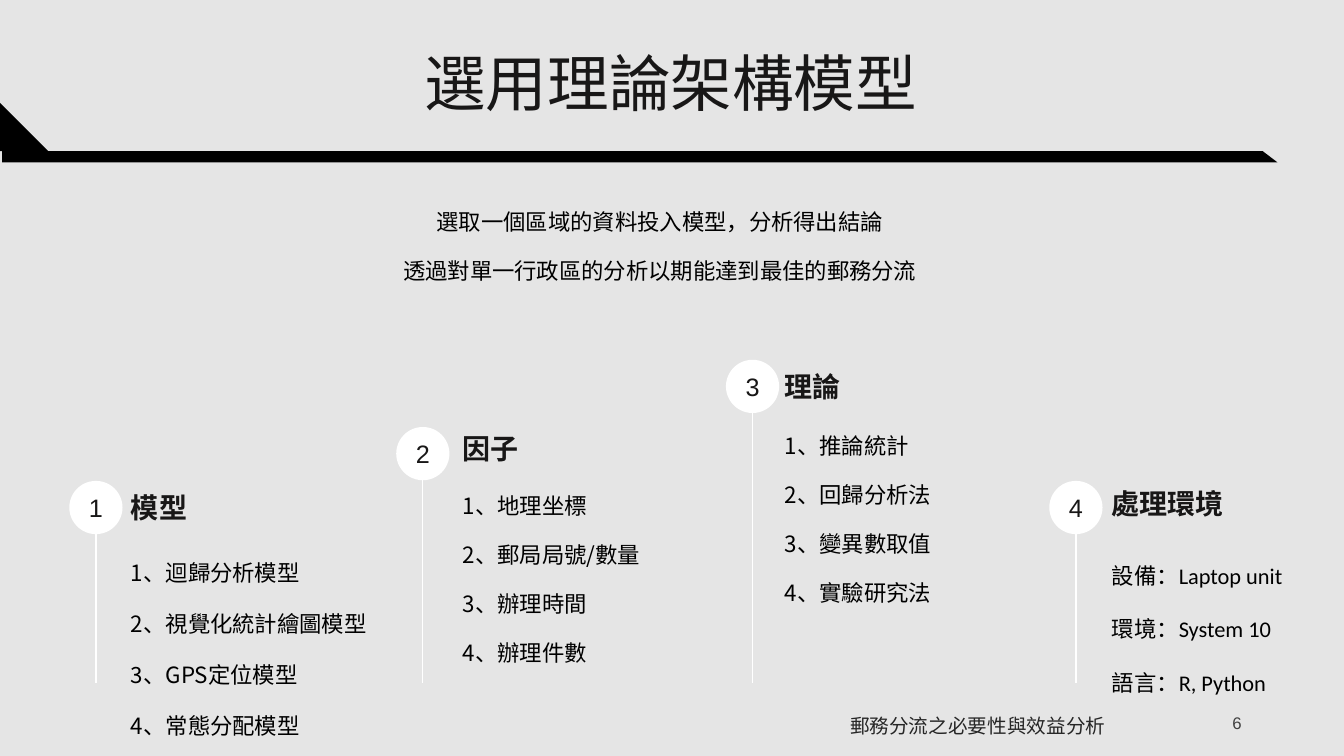
from dataclasses import dataclass
from pptx import Presentation
from pptx.dml.color import RGBColor
from pptx.enum.shapes import MSO_CONNECTOR, MSO_SHAPE
from pptx.enum.text import MSO_ANCHOR, MSO_AUTO_SIZE, PP_ALIGN
from pptx.oxml.ns import qn
from pptx.util import Pt
from lxml.etree import SubElement


# Colours, fonts and type sizes
@dataclass(frozen=True)
class Theme:
    back: str = "E5E5E5"
    bar: str = "000000"
    disc: str = "FFFFFF"
    ink: str = "181717"
    body: str = "000000"
    foot: str = "262626"
    page: str = "404040"
    han: str = "Noto Sans CJK SC"
    sans: str = "Arial"
    latin: str = "Calibri"
    title: int = 44
    head: int = 20
    num: int = 18
    text: int = 16
    note: int = 14
    small: int = 12


T = Theme()
DISC = 38
BASE = 488

# Column: disc left and top, heading left and top, list top and width,
# heading, list font, paragraph format, list lines
STEP = {"line_spacing": 1.3, "space_before": Pt(10)}
COLS = [
    (49.5, 343.5, 86.5, 346.5, 378.5, 196.5, "模型", T.han,
     {"line_spacing": 1.9},
     ["1、迴歸分析模型", "2、視覺化統計繪圖模型", "3、GPS定位模型", "4、常態分配模型"]),
    (283, 305, 323.5, 304.5, 342.5, 155.5, "因子", T.han, STEP,
     ["1、地理坐標", "2、郵局局號/數量", "3、辦理時間", "4、辦理件數"]),
    (518.5, 257, 553.5, 260, 299.5, 168.5, "理論", T.han, STEP,
     ["1、推論統計", "2、回歸分析法", "3、變異數取值", "4、實驗研究法"]),
    (749.5, 343.5, 787, 344, 378.5, 154, "處理環境", T.latin,
     {"line_spacing": 2.0},
     ["設備：Laptop unit", "環境：System 10", "語言：R, Python"]),
]


def tint(fill, color):
    fill.solid()
    fill.fore_color.rgb = RGBColor.from_string(color)


def put(obj, form):
    for key, val in form.items():
        setattr(obj, key, val)


def write(shape, lines, size, color, face=T.han, bold=False,
          anchor=MSO_ANCHOR.TOP, form=None):
    frame = shape.text_frame
    put(frame, {"word_wrap": True, "auto_size": MSO_AUTO_SIZE.NONE,
                "vertical_anchor": anchor})
    for i, line in enumerate(lines):
        para = frame.add_paragraph() if i else frame.paragraphs[0]
        put(para, form or {})
        run = para.add_run()
        run.text = line
        put(run.font, {"name": face, "size": Pt(size), "bold": bold})
        run.font.color.rgb = RGBColor.from_string(color)
        # Chinese letters take the Han face
        SubElement(run.font._element, qn("a:ea"), typeface=T.han)


def label(slide, box, lines, size, color, **kind):
    shape = slide.shapes.add_textbox(*map(Pt, box))
    write(shape, lines, size, color, **kind)


def plain(shape, color):
    tint(shape.fill, color)
    shape.line.fill.background()
    shape.shadow.inherit = False
    return shape


def solid(slide, kind, box, color):
    return plain(slide.shapes.add_shape(kind, *map(Pt, box)), color)


def stem(slide, x, top):
    line = slide.shapes.add_connector(
        MSO_CONNECTOR.STRAIGHT, Pt(x), Pt(top), Pt(x), Pt(BASE))
    tint(line.line.fill, T.disc)
    line.line.width = Pt(1)
    SubElement(line._element.spPr, qn("a:effectLst"))


def column(slide, num, col):
    left, top, x, y, low, wide, head, face, form, lines = col
    stem(slide, left + DISC / 2, top + DISC)
    disc = solid(slide, MSO_SHAPE.OVAL, (left, top, DISC, DISC), T.disc)
    write(disc, [str(num)], T.num, T.ink, face=T.sans,
          anchor=MSO_ANCHOR.MIDDLE, form={"alignment": PP_ALIGN.CENTER})
    label(slide, (x, y, 124, 31.5), [head], T.head, T.ink, bold=True,
          anchor=MSO_ANCHOR.MIDDLE)
    label(slide, (x, low, wide, 140), lines, T.text, T.body,
          face=face, form=form)


def band(slide):
    pen = slide.shapes.build_freeform(Pt(1.5), Pt(108))
    pen.add_line_segments(
        [(Pt(902), Pt(108)), (Pt(912.5), Pt(116)), (Pt(1.5), Pt(116))])
    plain(pen.convert_to_shape(), T.bar)
    solid(slide, MSO_SHAPE.RIGHT_TRIANGLE, (0, 73.5, 34.5, 34.5), T.bar)


def main():
    deck = Presentation()
    put(deck, {"slide_width": Pt(960), "slide_height": Pt(540)})
    slide = deck.slides.add_slide(deck.slide_layouts[5])
    tint(slide.background.fill, T.back)
    band(slide)

    # Title and introduction
    title = slide.shapes.title
    put(title, {"left": Pt(148.5), "top": Pt(26.5),
                "width": Pt(661.5), "height": Pt(70)})
    mid = {"alignment": PP_ALIGN.CENTER}
    write(title, ["選用理論架構模型"], T.title, T.ink,
          anchor=MSO_ANCHOR.MIDDLE, form={**mid, "line_spacing": 0.9})
    label(slide, (49.5, 139.5, 844, 78.5),
          ["選取一個區域的資料投入模型，分析得出結論",
           "透過對單一行政區的分析以期能達到最佳的郵務分流"],
          T.text, T.body, form={**mid, **STEP})

    # Numbered columns
    for num, col in enumerate(COLS, 1):
        column(slide, num, col)

    # Footer
    label(slide, (678, 500.5, 216, 29), ["6"], T.small, T.page, face=T.sans,
          anchor=MSO_ANCHOR.MIDDLE,
          form={"alignment": PP_ALIGN.RIGHT, "line_spacing": 1.2})
    label(slide, (536.5, 502.5, 324, 29), ["郵務分流之必要性與效益分析"],
          T.note, T.foot, anchor=MSO_ANCHOR.MIDDLE,
          form={**mid, "line_spacing": 1.2})
    deck.save("out.pptx")


if __name__ == "__main__":
    main()
